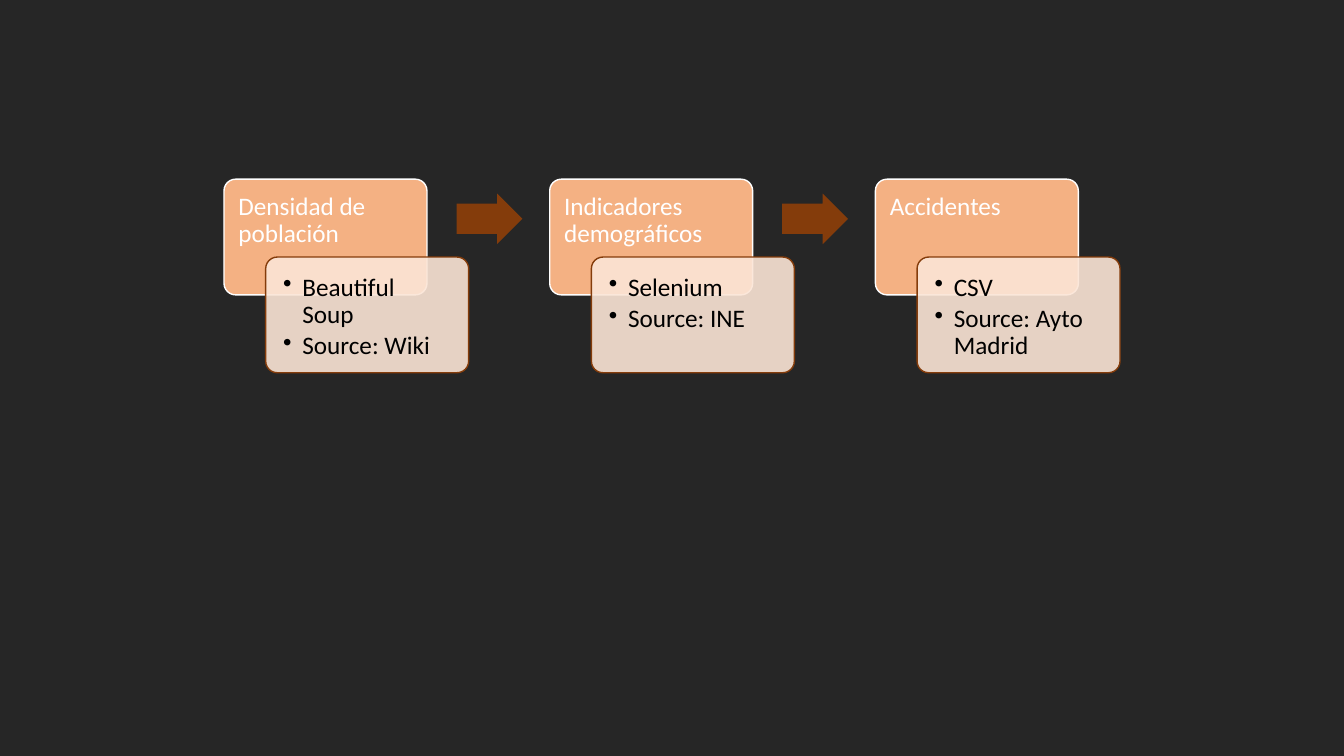
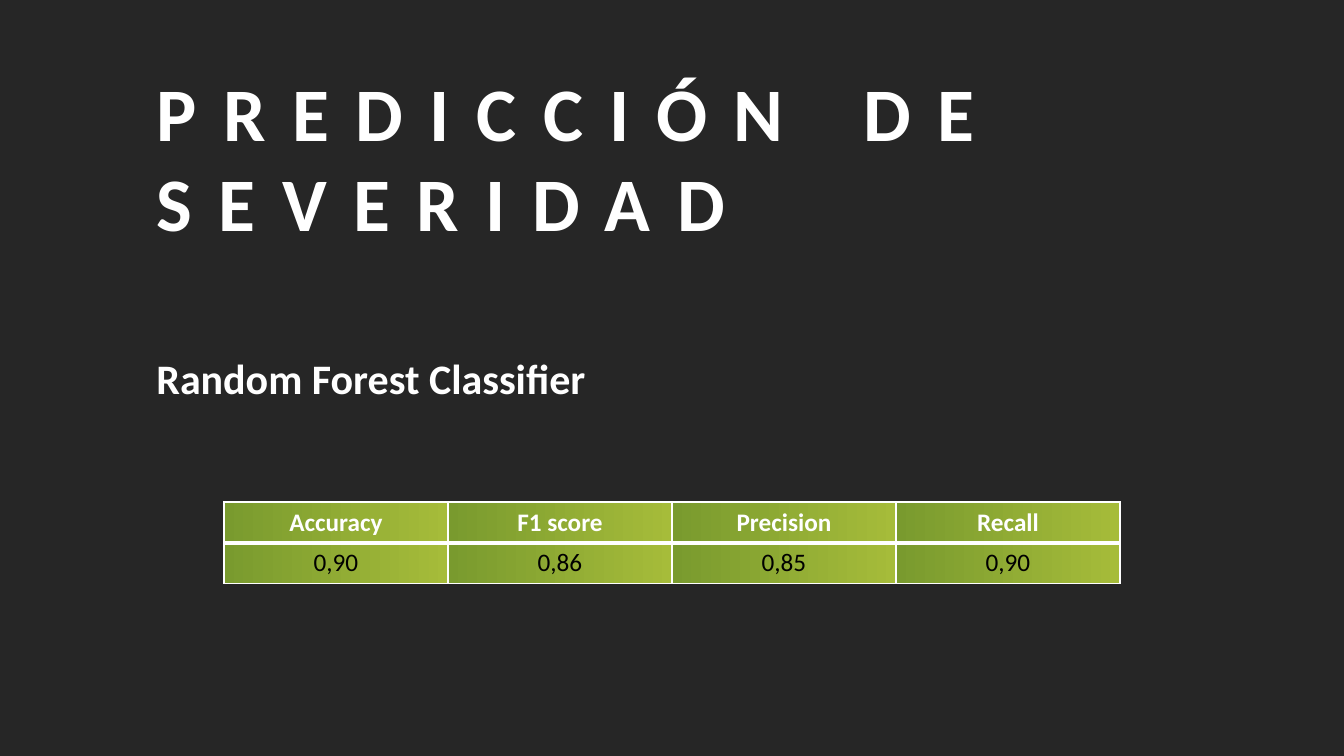
from lxml.etree import SubElement as Sub
from pptx import Presentation
from pptx.dml.color import RGBColor as Rgb
from pptx.enum.shapes import MSO_SHAPE as Form
from pptx.enum.text import MSO_ANCHOR as Anchor, MSO_AUTO_SIZE as Fit, PP_ALIGN as Align
from pptx.oxml.ns import qn
from pptx.util import Inches as In, Pt

# Shared look
FONT = "Calibri"
DARK, WHITE, BLACK = "262626", "FFFFFF", "000000"
PEACH, CREAM, RUST = "F4B183", "FBE5D6", "843C0B"
GREENS = "799A2E", "A6BC3A"

deck = Presentation()
deck.slide_width, deck.slide_height = W, H = In(13.33), In(7.5)
COL = W / 6  # content fills the middle four of six columns


def hue(fill, code):
    fill.solid()
    fill.fore_color.rgb = Rgb.from_string(code)


def write(par, text, size, code, bold=False):
    run = par.add_run()
    run.text = text
    font = run.font
    font.name, font.size, font.bold = FONT, Pt(size), bold
    hue(font.fill, code)
    return run


hue(deck.slide_master.background.fill, DARK)
blank = deck.slide_layouts[6]

# Slide 1: chain of data sources
slide = deck.slides.add_slide(blank)
steps = [
    ("Densidad de población", ["Beautiful Soup", "Source: Wiki"]),
    ("Indicadores demográficos", ["Selenium", "Source: INE"]),
    ("Accidentes", ["CSV", "Source: Ayto Madrid"]),
]
wide, high = W * 0.151, H * 0.153
dx, dy = W * 0.031, H * 0.103
top = H * 0.237
pitch = (4 * COL - wide - dx) / 2

for i, (head, items) in enumerate(steps):
    left = COL + i * pitch
    # Heading card, then the detail card that overlaps it
    cards = [
        (left, top, PEACH, WHITE, WHITE, [head]),
        (left + dx, top + dy, CREAM, RUST, BLACK, items),
    ]
    for x, y, back, edge, ink, lines in cards:
        card = slide.shapes.add_shape(Form.ROUNDED_RECTANGLE, int(x), int(y), int(wide), int(high))
        card.adjustments[0] = 0.1
        card.shadow.inherit = False
        hue(card.fill, back)
        hue(card.line.fill, edge)
        card.line.width = Pt(1)
        frame = card.text_frame
        frame.word_wrap = True
        frame.vertical_anchor = Anchor.TOP
        inset = In(0.14 if lines is items else 0.11)
        frame.margin_left = frame.margin_right = frame.margin_top = inset
        frame.margin_bottom = In(0.07)
        for n, line in enumerate(lines):
            par = frame.add_paragraph() if n else frame.paragraphs[0]
            par.alignment = Align.LEFT
            par.line_spacing = 0.9
            par.space_after = Pt(3)
            if lines is items:
                props = par._p.get_or_add_pPr()
                props.set("marL", str(In(0.19)))
                props.set("indent", str(-In(0.19)))
                Sub(props, qn("a:buChar")).set("char", "•")
            write(par, line, 18, ink)
        if lines is items:
            tint = card._element.spPr.find(qn("a:solidFill"))[0]
            Sub(tint, qn("a:alpha")).set("val", "90000")
    # Arrow to the next step
    if i < len(steps) - 1:
        arrow = slide.shapes.add_shape(
            Form.RIGHT_ARROW, int(left + W * 0.173), int(H * 0.256), int(W * 0.049), int(H * 0.067))
        arrow.adjustments[0] = 0.6
        arrow.shadow.inherit = False
        hue(arrow.fill, RUST)
        arrow.line.fill.background()

# Slide 2: title and model name
slide = deck.slides.add_slide(blank)
labels = [
    ("PREDICCIÓN DE SEVERIDAD", 54, 0.08, 0.644, 0.256, True, Align.JUSTIFY, 19),
    ("Random Forest Classifier", 30, 0.46, 0.341, 0.081, False, Align.LEFT, 0),
]
for text, size, y, w, h, wrap, align, gap in labels:
    box = slide.shapes.add_textbox(int(W * 0.109), int(H * y), int(W * w), int(H * h))
    frame = box.text_frame
    frame.word_wrap = wrap
    frame.auto_size = Fit.SHAPE_TO_FIT_TEXT
    par = frame.paragraphs[0]
    par.alignment = align
    run = write(par, text, size, WHITE, True)
    run._r.get_or_add_rPr().set("spc", str(gap * 100))

# Score table
rows = [
    ["Accuracy", "F1 score", "Precision", "Recall"],
    ["0,90", "0,86", "0,85", "0,90"],
]
tall = H * 0.054
table = slide.shapes.add_table(
    2, 4, int(COL), int(H * 0.664), int(4 * COL), int(2 * tall)).table
for r, row in enumerate(rows):
    table.rows[r].height = int(tall)
    thick = "lnT" if r else "lnB"  # the rule between head and scores
    for c, text in enumerate(row):
        cell = table.cell(r, c)
        props = cell._tc.get_or_add_tcPr()
        for side in ("lnL", "lnR", "lnT", "lnB"):
            rule = Sub(props, qn("a:" + side))
            rule.set("w", str(Pt(3 if side == thick else 1)))
            Sub(Sub(rule, qn("a:solidFill")), qn("a:srgbClr")).set("val", WHITE)
        cell.fill.gradient()
        cell.fill.gradient_angle = 0
        for stop, code in zip(cell.fill.gradient_stops, GREENS):
            stop.color.rgb = Rgb.from_string(code)
        par = cell.text_frame.paragraphs[0]
        par.alignment = Align.CENTER
        write(par, text, 18, BLACK if r else WHITE, r == 0)

deck.save("out.pptx")
